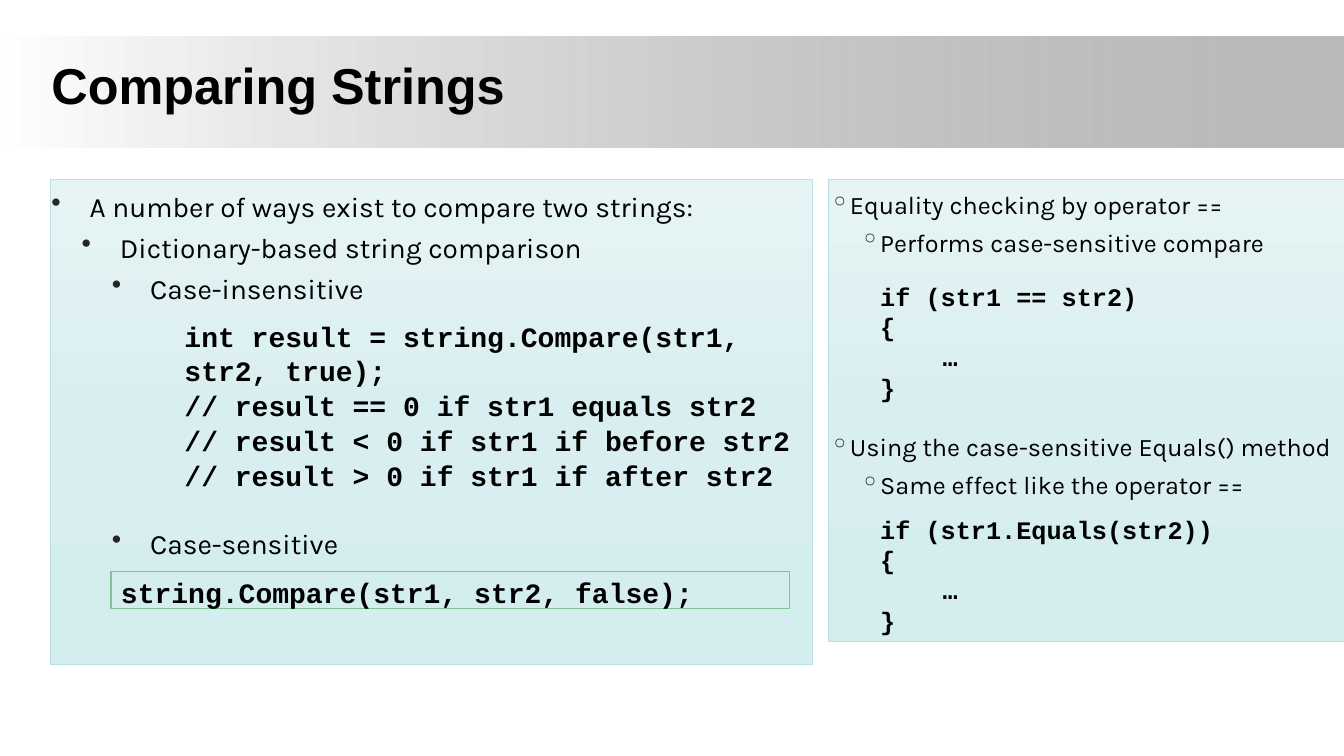
from lxml import etree
from pptx import Presentation
from pptx.dml.color import RGBColor
from pptx.enum.shapes import MSO_SHAPE
from pptx.enum.text import MSO_ANCHOR, PP_ALIGN
from pptx.oxml import parse_xml
from pptx.oxml.ns import nsdecls, qn
from pptx.util import Inches, Pt

RECT = MSO_SHAPE.RECTANGLE
TOP, MIDDLE = MSO_ANCHOR.TOP, MSO_ANCHOR.MIDDLE
LEFT = PP_ALIGN.LEFT

COLORS = {
    "text": "000000", "bullet": "252525",
    "band_start": "FFFFFF", "band_end": "808080",
    "panel_top": "E6F4F5", "panel_mid": "D9EEF0", "panel_bottom": "D4EDEF",
    "panel_line": "BBE0E3", "code_line": "7DC492",
}
BAND_STOPS = [(0, "band_start", 100), (100, "band_end", 54)]
PANEL_STOPS = [(0, "panel_top", 100), (50, "panel_mid", 100), (100, "panel_bottom", 100)]
BODY, CODE, HEADING = "Karla", "Courier New", "Arial"


def add_box(slide, box, line=None, width=0.5, stops=None, angle=90):
    """Rectangle with an optional outline and gradient of (position, colour, opacity)."""
    shape = slide.shapes.add_shape(RECT, *(Inches(v) for v in box))
    shape.shadow.inherit = False
    shape.fill.background()
    if line:
        shape.line.color.rgb = RGBColor.from_string(COLORS[line])
        shape.line.width = Pt(width)
    else:
        shape.line.fill.background()
    if stops:
        marks = "".join(
            f'<a:gs pos="{pos * 1000}"><a:srgbClr val="{COLORS[name]}">'
            f'<a:alpha val="{opacity * 1000}"/></a:srgbClr></a:gs>'
            for pos, name, opacity in stops)
        gradient = parse_xml(
            f'<a:gradFill {nsdecls("a")} rotWithShape="1"><a:gsLst>{marks}</a:gsLst>'
            f'<a:lin ang="{angle * 60000}" scaled="0"/></a:gradFill>')
        properties = shape.fill._xPr
        properties.replace(properties.find(qn("a:noFill")), gradient)
    return shape


def prepare_frame(shape, top, anchor=TOP):
    frame = shape.text_frame
    frame.word_wrap = True
    frame.vertical_anchor = anchor
    frame.margin_left = frame.margin_right = frame.margin_bottom = 0
    frame.margin_top = Inches(top)
    return frame


def add_text(frame, text, size=20, font=BODY, bold=False, before=0, left=0,
             hanging=0, bullet=None):
    """Write one paragraph, filling the frame's first one if it is still empty."""
    first = frame.paragraphs[0]
    paragraph = frame.add_paragraph() if first.runs else first
    paragraph.alignment = LEFT
    paragraph.space_before = Pt(before)
    run = paragraph.add_run()
    run.text = text
    run.font.size, run.font.name, run.font.bold = Pt(size), font, bold
    run.font.color.rgb = RGBColor.from_string(COLORS["text"])
    properties = paragraph._p.get_or_add_pPr()
    properties.set("marL", str(Inches(left)))
    properties.set("indent", str(-Inches(hanging)))
    if bullet:
        color = etree.SubElement(properties, qn("a:buClr"))
        etree.SubElement(color, qn("a:srgbClr")).set("val", COLORS["bullet"])
        etree.SubElement(properties, qn("a:buChar")).set("char", bullet)


def add_header(slide, box):
    left, top, _, _ = box
    add_box(slide, box, stops=BAND_STOPS, angle=0)
    title = slide.shapes.add_textbox(
        Inches(left + 0.5), Inches(top + 0.16), Inches(4.93), Inches(0.62))
    add_text(prepare_frame(title, 0.01, MIDDLE), "Comparing Strings",
             size=36, font=HEADING, bold=True, before=1, left=0.01)


def add_panel(slide, box, items, size, bullet, first_left, hanging):
    """Items are (level, text, space before) bullets or (None, code, space before, left)."""
    panel = add_box(slide, box, line="panel_line", stops=PANEL_STOPS)
    frame = prepare_frame(panel, 0.1)
    for level, text, before, *code_left in items:
        if level is None:
            add_text(frame, text, size=size, font=CODE, bold=True, before=before,
                     left=code_left[0])
        else:
            add_text(frame, text, size=size, before=before, bullet=bullet,
                     left=first_left + 0.3 * level, hanging=hanging)


def add_dictionary_panel(slide, box):
    left, top, _, _ = box
    code_left = 1.33
    items = [
        (0, "A number of ways exist to compare two strings:", 6.9),
        (1, "Dictionary-based string comparison", 5.1),
        (2, "Case-insensitive", 5.2),
        (None, "int result = string.Compare(str1, str2, true);", 10.5, code_left),
        (None, "// result == 0 if str1 equals str2", 1.2, code_left),
        (None, "// result < 0 if str1 if before str2", 1.2, code_left),
        (None, "// result > 0 if str1 if after str2", 1.2, code_left),
        (2, "Case-sensitive", 24),
    ]
    add_panel(slide, box, items, 20, "•", first_left=0.39, hanging=0.38)
    # Framed code line
    call = add_box(slide, (left + 0.6, top + 3.89, 6.73, 0.37), line="code_line", width=0.96)
    add_text(prepare_frame(call, 0.04), "string.Compare(str1, str2, false);",
             font=CODE, bold=True, before=2.5, left=0.1)


def add_equality_panel(slide, box):
    def if_block(condition, before):
        return [(None, f"if ({condition})", before, 0.51), (None, "{", 0, 0.51),
                (None, "…", 0, 1.13), (None, "}", 0, 0.51)]

    items = [
        (0, "Equality checking by operator ==", 6.9),
        (1, "Performs case-sensitive compare", 5.1),
        *if_block("str1 == str2", 17.2),
        (0, "Using the case-sensitive Equals() method", 21),
        (1, "Same effect like the operator ==", 5.1),
        *if_block("str1.Equals(str2)", 10.8),
    ]
    add_panel(slide, box, items, 18, "◦", first_left=0.21, hanging=0.2)


def main():
    deck = Presentation()
    deck.slide_width, deck.slide_height = Inches(13.33), Inches(7.5)
    slide = deck.slides.add_slide(deck.slide_layouts[6])
    add_header(slide, (0, 0.36, 13.33, 1.1))
    add_dictionary_panel(slide, (0.5, 1.78, 7.56, 4.81))
    add_equality_panel(slide, (8.22, 1.78, 5.11, 4.58))
    deck.save("out.pptx")


if __name__ == "__main__":
    main()
